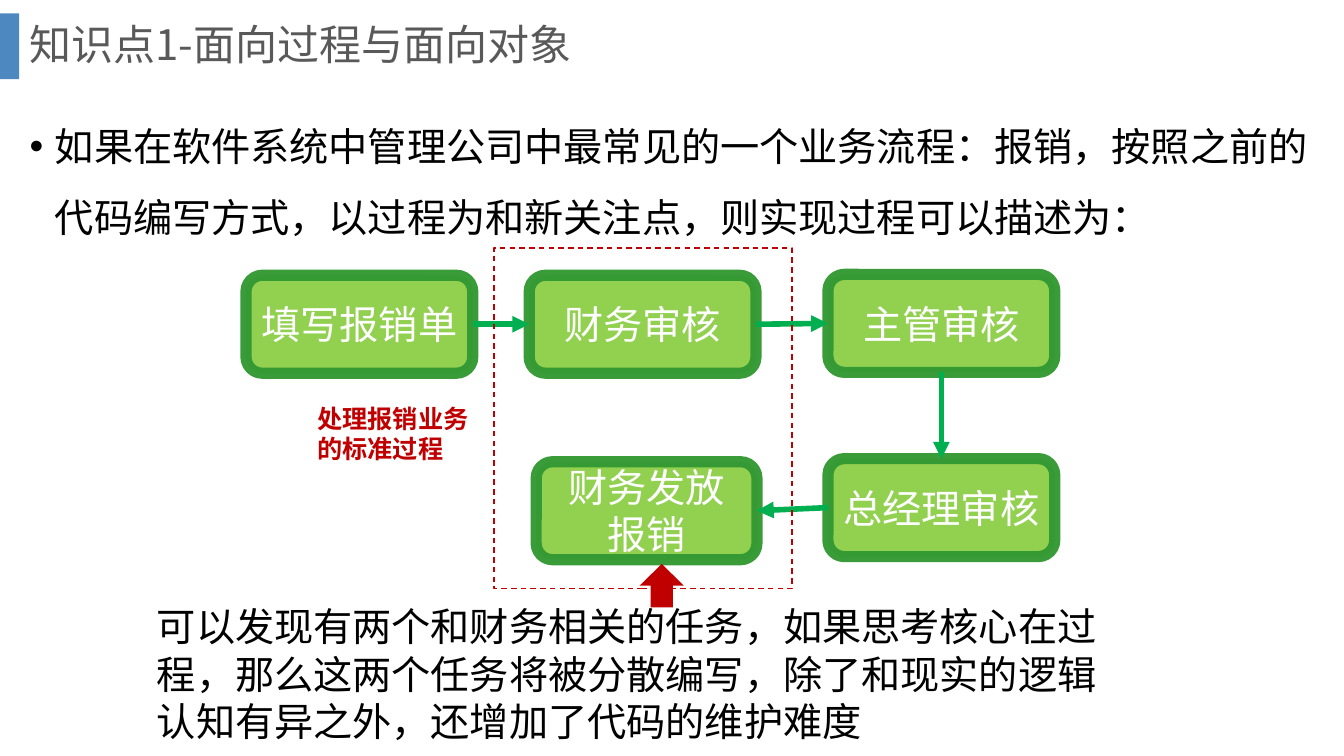
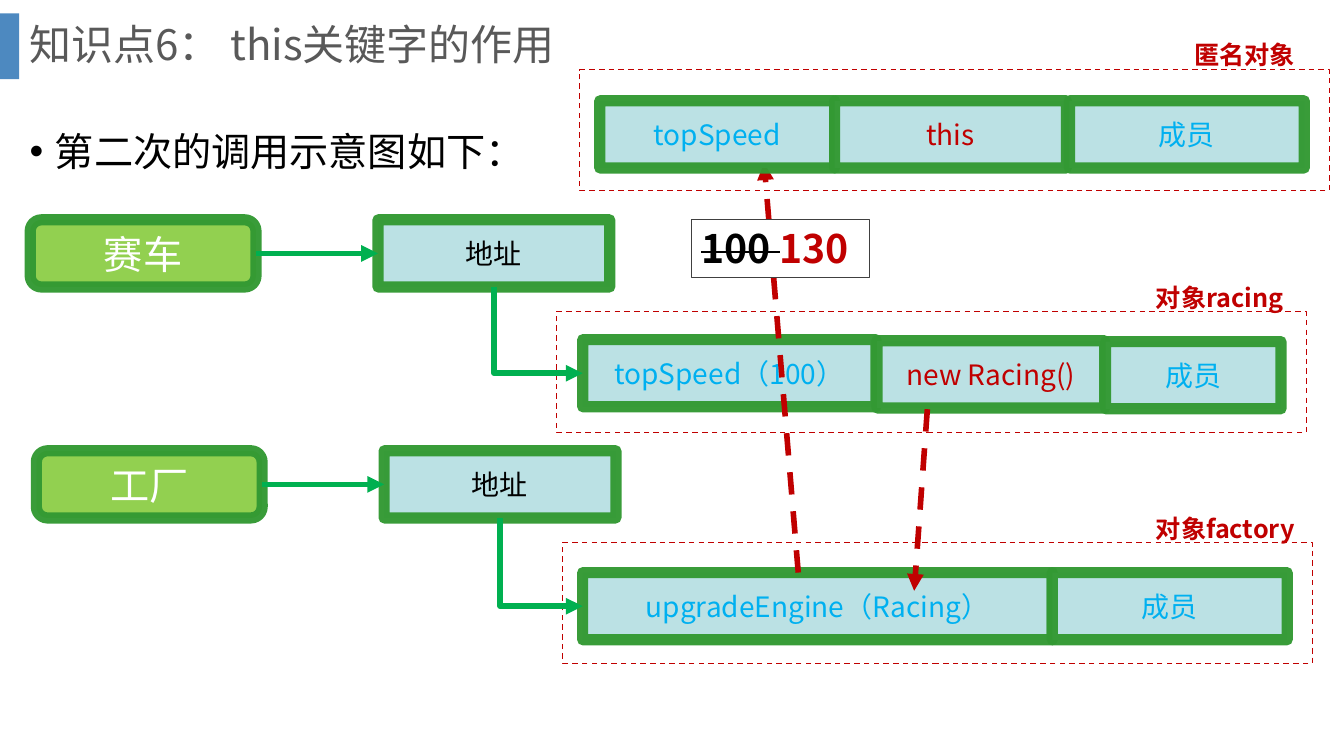
from lxml import etree
from pptx import Presentation
from pptx.dml.color import RGBColor
from pptx.enum import dml, shapes, text
from pptx.oxml.ns import qn
from pptx.util import Pt

FONT = "Noto Sans CJK SC"
BLACK = RGBColor(0x00, 0x00, 0x00)
WHITE = RGBColor(0xFF, 0xFF, 0xFF)
GRAY = RGBColor(0x59, 0x59, 0x59)
NOTE_LINE = RGBColor(0x40, 0x40, 0x40)
BAND = RGBColor(0x2E, 0x75, 0xB6)
LIME = RGBColor(0x92, 0xD0, 0x50)
BORDER = RGBColor(0x33, 0x99, 0x33)
ARROW = RGBColor(0x00, 0xB0, 0x50)
PALE = RGBColor(0xBB, 0xE1, 0xE4)
SKY = RGBColor(0x00, 0xB0, 0xF0)
RED = RGBColor(0xC0, 0x00, 0x00)

RECT = shapes.MSO_SHAPE.RECTANGLE
STRAIGHT = shapes.MSO_CONNECTOR.STRAIGHT
ELBOW = shapes.MSO_CONNECTOR.ELBOW
DASH = dml.MSO_LINE.DASH
TOP, LEFT, BOTTOM, RIGHT = range(4)

STEP = dict(kind=shapes.MSO_SHAPE.ROUNDED_RECTANGLE, fill=LIME, line=BORDER, color=WHITE)
CELL = dict(kind=RECT, fill=PALE, line=BORDER, size=20)
FRAME = dict(kind=RECT, line=RED, width=1, dash=DASH)
LABEL = dict(size=18, color=RED, bold=True)


def box(s, at, words="", kind=None, fill=None, line=None, width=8, dash=None,
        size=28, color=BLACK, bold=None):
    """Add a preset shape with centred text, or a left-aligned text box if kind is None."""
    at = [Pt(v) for v in at]
    sp = s.shapes.add_shape(kind, *at) if kind else s.shapes.add_textbox(*at)
    if kind:
        sp.shadow.inherit = False
    if fill:
        sp.fill.solid()
        sp.fill.fore_color.rgb = fill
    else:
        sp.fill.background()
    if line:
        sp.line.color.rgb = line
        sp.line.width = Pt(width)
        sp.line.dash_style = dash
    else:
        sp.line.fill.background()
    if line == BORDER:
        rgb = sp.line._ln.find(".//" + qn("a:srgbClr"))
        etree.SubElement(rgb, qn("a:alpha"), val="96000")
    tf = sp.text_frame
    tf.word_wrap = True
    if words:
        p = tf.paragraphs[0]
        if kind:
            tf.vertical_anchor = text.MSO_ANCHOR.MIDDLE
            p.alignment = text.PP_ALIGN.CENTER
        r = p.add_run()
        r.text = words
        r.font.size, r.font.bold = Pt(size), bold
        r.font.color.rgb = color
    return sp


def arrow(s, kind=STRAIGHT, at=(0, 0, 0, 0), color=ARROW, dash=None):
    c = s.shapes.add_connector(kind, *[Pt(v) for v in at])
    c.line.color.rgb = color
    c.line.width = Pt(4)
    c.line.dash_style = dash
    etree.SubElement(c.line._ln, qn("a:tailEnd"), type="triangle")
    etree.SubElement(c._element.spPr, qn("a:effectLst"))
    return c


prs = Presentation()
prs.slide_width, prs.slide_height = Pt(960), Pt(540)
layout = prs.slide_layouts[1]

# Titles, lists and the band shared by all slides
pages = [
    ("知识点1-面向过程与面向对象", 67,
     "如果在软件系统中管理公司中最常见的一个业务流程：报销，按照之前的代码编写方式，以过程为和新关注点，则实现过程可以描述为："),
    ("知识点6： this关键字的作用", 70.6, "第二次的调用示意图如下："),
]
for title, body_top, body in pages:
    s = prs.slides.add_slide(layout)
    places = [(title, (14, 0, 911.5, 67), 30, GRAY, 0.9, text.MSO_ANCHOR.MIDDLE),
              (body, (14, body_top, 930, 430), 28, BLACK, 1.5, text.MSO_ANCHOR.TOP)]
    for sp, (words, at, size, color, spacing, anchor) in zip(s.placeholders, places):
        sp.left, sp.top, sp.width, sp.height = [Pt(v) for v in at]
        tf = sp.text_frame
        tf.auto_size = text.MSO_AUTO_SIZE.NONE
        tf.vertical_anchor = anchor
        p = tf.paragraphs[0]
        p.alignment = text.PP_ALIGN.LEFT
        p.line_spacing = spacing
        p.space_before = Pt(0)
        if words == body:
            pPr = p._p.get_or_add_pPr()
            pPr.set("marL", str(Pt(18)))
            pPr.set("indent", str(Pt(-18)))
            etree.SubElement(pPr, qn("a:buFont"), typeface="Arial")
            etree.SubElement(pPr, qn("a:buChar"), char="•")
        r = p.add_run()
        r.text = words
        r.font.size = Pt(size)
        r.font.color.rgb = color

process, memory = prs.slides
band = box(process, (0, 9.5, 13.7, 47), kind=RECT, fill=BAND)
etree.SubElement(band._element.spPr.find(".//" + qn("a:srgbClr")), qn("a:alpha"), val="85000")
band._element.nvSpPr.cNvPr.set("id", "99")
layout.shapes._spTree.insert(2, band._element)

# Slide 1: reimbursement process
steps = [box(process, (x, y, w, 70), words, **STEP) for x, y, w, words in [
    (175.7, 196.6, 162, "填写报销单"),
    (378, 196.6, 162, "财务审核"),
    (591.4, 196, 162, "主管审核"),
    (591.4, 327.6, 162, "总经理审核"),
    (383, 329.8, 157.7, "财务发放报销"),
]]
sides = [(RIGHT, LEFT), (RIGHT, LEFT), (BOTTOM, TOP), (LEFT, RIGHT)]
for first, second, (out, into) in zip(steps, steps[1:], sides):
    c = arrow(process)
    c.begin_connect(first, out)
    c.end_connect(second, into)
box(process, (352.8, 177.1, 213, 243.4), **FRAME)
box(process, (105, 427, 703.4, 108.7),
    "可以发现有两个和财务相关的任务，如果思考核心在过程，那么这两个任务将被分散编写，除了和现实的逻辑认知有异之外，还增加了代码的维护难度")
pointer = box(process, (457.2, 402.5, 31, 31.7), kind=shapes.MSO_SHAPE.RIGHT_ARROW, fill=RED)
pointer.rotation = 270
box(process, (219.6, 284.4, 126, 51), "处理报销业务的标准过程", **LABEL)

# Slide 2: objects in memory, each a framed row of cells
objects = [
    ("对象racing", (818.6, 198), (397.4, 222.5), [
        (416.2, 242.6, 209.5, "topSpeed（100）", SKY),
        (626.4, 243.4, 162.7, "new Racing()", RED),
        (789.8, 244, 125.3, "成员", SKY)]),
    ("对象factory", (818.6, 363), (401.8, 387.4), [
        (416.2, 409, 335.5, "upgradeEngine（Racing）", SKY),
        (751.7, 409, 167.8, "成员", SKY)]),
    ("匿名对象", (846, 24.5), (414, 49.7), [
        (428.4, 72, 167.8, "topSpeed", SKY),
        (596.2, 72, 165.6, "this", RED),
        (763.9, 72, 167.8, "成员", SKY)]),
]
rows = []
for label, label_at, frame_at, cells in objects:
    rows.append([box(memory, (x, y, w, 48), words, color=color, **CELL)
                 for x, y, w, words, color in cells])
    box(memory, (*frame_at, 535.7, 86.4), **FRAME)
    box(memory, (*label_at, 142, 29), label, **LABEL)

for name, x, y, row in [("赛车", 21.6, 157, rows[0]), ("工厂", 26, 322, rows[1])]:
    variable = box(memory, (x, y, 161.3, 48), name, **STEP)
    address = box(memory, (x + 248.4, y, 165.6, 48), "地址", **CELL)
    c = arrow(memory)
    c.begin_connect(variable, RIGHT)
    c.end_connect(address, LEFT)
    c = arrow(memory, ELBOW)
    c.begin_connect(address, BOTTOM)
    c.end_connect(row[0], LEFT)
    # One bend, down then right: a turned and flipped two-part connector
    across, down = c.width, c.height
    c.left += (across - down) // 2
    c.top += (down - across) // 2
    c.width, c.height = down, across
    xfrm = c._element.spPr.find(qn("a:xfrm"))
    xfrm.set("rot", "16200000")
    xfrm.set("flipH", "1")
    c._element.spPr.find(qn("a:prstGeom")).set("prst", "bentConnector2")

for at in [(662.4, 292.3, 653, 422), (570.2, 409, 545.8, 116.6)]:
    arrow(memory, at=at, color=RED, dash=DASH)

speed = box(memory, (494, 157, 127.4, 41), fill=WHITE, line=NOTE_LINE, width=0.75)
tf = speed.text_frame
tf.word_wrap = False
tf.auto_size = text.MSO_AUTO_SIZE.SHAPE_TO_FIT_TEXT
for words, color, strike in [("100 ", BLACK, "sngStrike"), ("130", RED, "noStrike")]:
    r = tf.paragraphs[0].add_run()
    r.text = words
    r.font.size, r.font.bold = Pt(28), True
    r.font.color.rgb = color
    r.font._element.set("strike", strike)

# The anonymous object's cells lie over the arrow tip
memory.shapes._spTree.extend([cell._element for cell in rows[2]])

# One font for Latin and Chinese text alike
for s in prs.slides:
    for sp in s.shapes:
        if sp.has_text_frame:
            for r in sp.text_frame.paragraphs[0].runs:
                r.font.name = FONT
                latin = r.font._element.find(qn("a:latin"))
                latin.addnext(latin.makeelement(qn("a:ea"), typeface=FONT))

prs.save("out.pptx")
